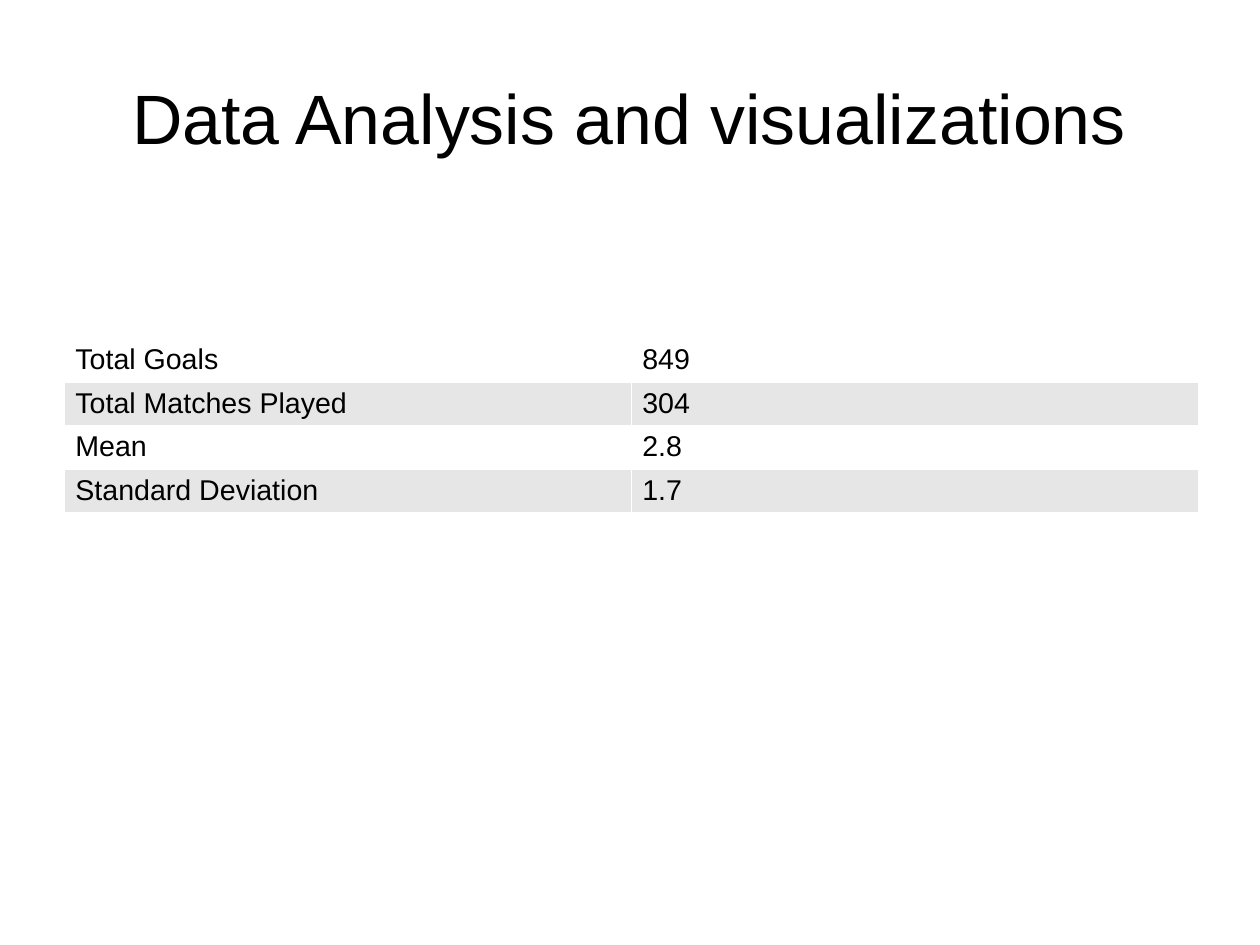
from lxml import etree
from pptx import Presentation
from pptx.dml.color import RGBColor
from pptx.enum.text import MSO_ANCHOR, PP_ALIGN
from pptx.oxml.ns import qn
from pptx.util import Inches, Pt

CENTER, LEFT = PP_ALIGN.CENTER, PP_ALIGN.LEFT
MIDDLE, TOP = MSO_ANCHOR.MIDDLE, MSO_ANCHOR.TOP
TITLE_ONLY = 5
CM_PER_INCH = 2.54
FONT = "Arial"
COLORS = {"text": "000000", "plain": "FFFFFF", "band": "E6E6E6", "border": "FFFFFF"}
STATISTICS = [
    ("Total Goals", "849"),
    ("Total Matches Played", "304"),
    ("Mean", "2.8"),
    ("Standard Deviation", "1.7"),
]


def write_text(tf, text, size=18, color="text", align=LEFT):
    p = tf.paragraphs[0]
    p.alignment = align
    r = p.add_run()
    r.text = text
    r.font.name = FONT
    r.font.size = Pt(size)
    r.font.color.rgb = RGBColor.from_string(COLORS[color])


def add_title(s, text):
    sp = s.shapes.title
    sp.left, sp.top = Inches(0.55), Inches(0.33)
    sp.width, sp.height = Inches(9.92), Inches(1.38)
    tf = sp.text_frame
    tf.margin_left = tf.margin_right = tf.margin_top = tf.margin_bottom = 0
    tf.vertical_anchor = MIDDLE
    tf.word_wrap = True
    write_text(tf, text, size=44, align=CENTER)


def set_borders(cell, color, width):
    tc_pr = cell._tc.get_or_add_tcPr()
    for side in ("a:lnL", "a:lnR", "a:lnT", "a:lnB"):
        ln = etree.SubElement(tc_pr, qn(side), w=str(Pt(width)))
        fill = etree.SubElement(ln, qn("a:solidFill"))
        etree.SubElement(fill, qn("a:srgbClr"), val=COLORS[color])


def format_cell(cell, text, fill):
    set_borders(cell, "border", 0.06)
    cell.fill.solid()
    cell.fill.fore_color.rgb = RGBColor.from_string(COLORS[fill])
    cell.margin_left = cell.margin_right = Inches(0.1)
    cell.margin_top = cell.margin_bottom = Inches(0.05)
    cell.vertical_anchor = TOP
    write_text(cell.text_frame, text)


def add_statistics_table(s, rows):
    frame = s.shapes.add_table(
        len(rows), len(rows[0]), Inches(0.56), Inches(2.96),
        Inches(9.92), Inches(1.53),
    )
    table = frame.table
    table.first_row = False
    for i, row in enumerate(rows):
        table.rows[i].height = Inches(0.37)
        for j, text in enumerate(row):
            format_cell(table.cell(i, j), text, "band" if i % 2 else "plain")
    frame.height = Inches(1.53)


def main():
    prs = Presentation()
    prs.slide_width = Inches(28 / CM_PER_INCH)
    prs.slide_height = Inches(21 / CM_PER_INCH)
    s = prs.slides.add_slide(prs.slide_layouts[TITLE_ONLY])
    add_title(s, "Data Analysis and visualizations")
    add_statistics_table(s, STATISTICS)
    prs.save("out.pptx")


if __name__ == "__main__":
    main()
